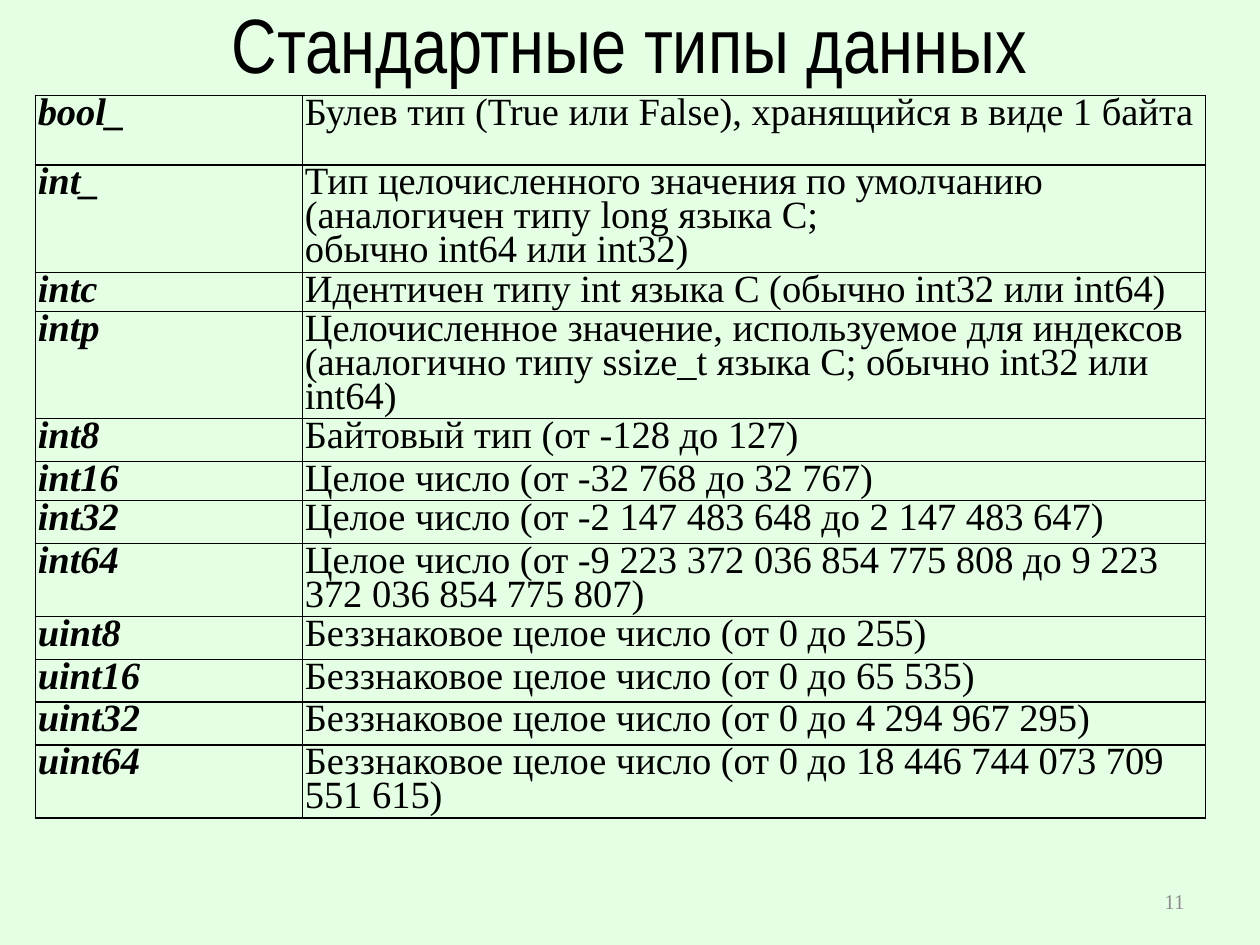
from typing import NamedTuple

import pptx
import pptx.dml.color
import pptx.enum.text
import pptx.oxml
import pptx.oxml.ns
import pptx.util

Inches = pptx.util.Inches
Pt = pptx.util.Pt
Align = pptx.enum.text.PP_ALIGN
Anchor = pptx.enum.text.MSO_ANCHOR

SERIF = "Times New Roman"
BACKGROUND = "E5FFE5"
BLACK = "000000"
GREY = "8C8C8C"


class DataType(NamedTuple):
    name: str
    description: str
    height: float = 0.34


DATA_TYPES = [
    DataType("bool_", "Булев тип (True или False), хранящийся в виде 1 байта", 0.55),
    DataType("int_", "Тип целочисленного значения по умолчанию (аналогичен типу long языка С;\n"
                     "обычно int64 или int32)"),
    DataType("intc", "Идентичен типу int языка С (обычно int32 или int64)", 0.28),
    DataType("intp", "Целочисленное значение, используемое для индексов "
                     "(аналогично типу ssize_t языка С; обычно int32 или int64)"),
    DataType("int8", "Байтовый тип (от -128 до 127)"),
    DataType("int16", "Целое число (от -32 768 до 32 767)", 0.24),
    DataType("int32", "Целое число (от -2 147 483 648 до 2 147 483 647)"),
    DataType("int64", "Целое число (от -9 223 372 036 854 775 808 до 9 223 372 036 854 775 807)"),
    DataType("uint8", "Беззнаковое целое число (от 0 до 255)"),
    DataType("uint16", "Беззнаковое целое число (от 0 до 65 535)"),
    DataType("uint32", "Беззнаковое целое число (от 0 до 4 294 967 295)"),
    DataType("uint64", "Беззнаковое целое число (от 0 до 18 446 744 073 709 551 615)"),
]
COLUMN_WIDTHS = [2.12, 7.17]


def rgb(color: str) -> pptx.dml.color.RGBColor:
    return pptx.dml.color.RGBColor.from_string(color)


def write(tf, text: str, *, size: float, font: str = SERIF, color: str = BLACK,
          bold: bool = False, italic: bool = False, align=Align.LEFT,
          spacing: float = 1.0) -> None:
    """Fill a text frame, one paragraph per line of text."""
    for i, line in enumerate(text.split("\n")):
        p = tf.add_paragraph() if i else tf.paragraphs[0]
        p.alignment = align
        p.line_spacing = spacing
        r = p.add_run()
        r.text = line
        r.font.name = font
        r.font.size = Pt(size)
        r.font.bold = bold
        r.font.italic = italic
        r.font.color.rgb = rgb(color)


def add_borders(cell, color: str = BLACK, width: float = 1) -> None:
    tc_pr = cell._tc.get_or_add_tcPr()
    for side in ("lnL", "lnR", "lnT", "lnB"):
        tc_pr.append(pptx.oxml.parse_xml(
            f'<a:{side} {pptx.oxml.ns.nsdecls("a")} w="{Pt(width)}"><a:solidFill>'
            f'<a:srgbClr val="{color}"/></a:solidFill></a:{side}>'))


def fill_cell(cell, text: str, emphasis: bool) -> None:
    cell.margin_left = cell.margin_right = Inches(0.02)
    cell.margin_top = cell.margin_bottom = Inches(0.02)
    cell.vertical_anchor = Anchor.TOP
    add_borders(cell)
    cell.fill.background()
    write(cell.text_frame, text, size=22, bold=emphasis, italic=emphasis, spacing=0.8)


def add_type_table(s, left: float, top: float) -> None:
    height = sum(data_type.height for data_type in DATA_TYPES)
    table = s.shapes.add_table(len(DATA_TYPES), len(COLUMN_WIDTHS), Inches(left), Inches(top),
                               Inches(sum(COLUMN_WIDTHS)), Inches(height)).table
    table.first_row = table.horz_banding = False
    for column, width in zip(table.columns, COLUMN_WIDTHS):
        column.width = Inches(width)
    for row, data_type in zip(table.rows, DATA_TYPES):
        row.height = Inches(data_type.height)
        fill_cell(row.cells[0], data_type.name, emphasis=True)
        fill_cell(row.cells[1], data_type.description, emphasis=False)


def main() -> None:
    prs = pptx.Presentation()
    prs.slide_width, prs.slide_height = Inches(10), Inches(7.5)
    s = prs.slides.add_slide(prs.slide_layouts[5])
    s.background.fill.solid()
    s.background.fill.fore_color.rgb = rgb(BACKGROUND)

    title = s.shapes.title
    title.left, title.top = Inches(0.12), Inches(0)
    title.width, title.height = Inches(9.76), Inches(0.68)
    title.text_frame.vertical_anchor = Anchor.MIDDLE
    title.text_frame.auto_size = pptx.enum.text.MSO_AUTO_SIZE.NONE
    write(title.text_frame, "Стандартные типы данных", size=44, font="Arial Narrow",
          align=Align.CENTER)

    add_type_table(s, 0.28, 0.76)

    number = s.shapes.add_textbox(Inches(7.17), Inches(6.95), Inches(2.33), Inches(0.4))
    number.text_frame.word_wrap = True
    number.text_frame.vertical_anchor = Anchor.MIDDLE
    write(number.text_frame, "11", size=12, color=GREY, align=Align.RIGHT)

    prs.save("out.pptx")


if __name__ == "__main__":
    main()
